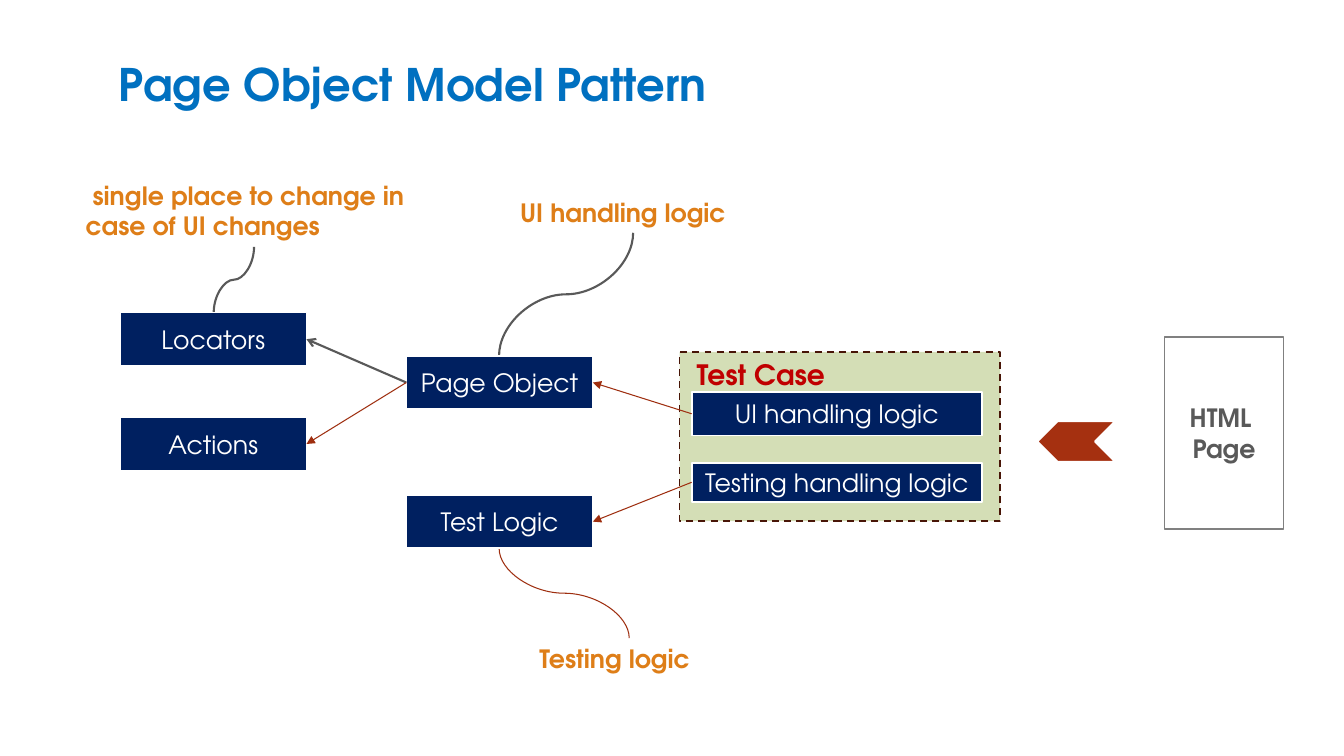
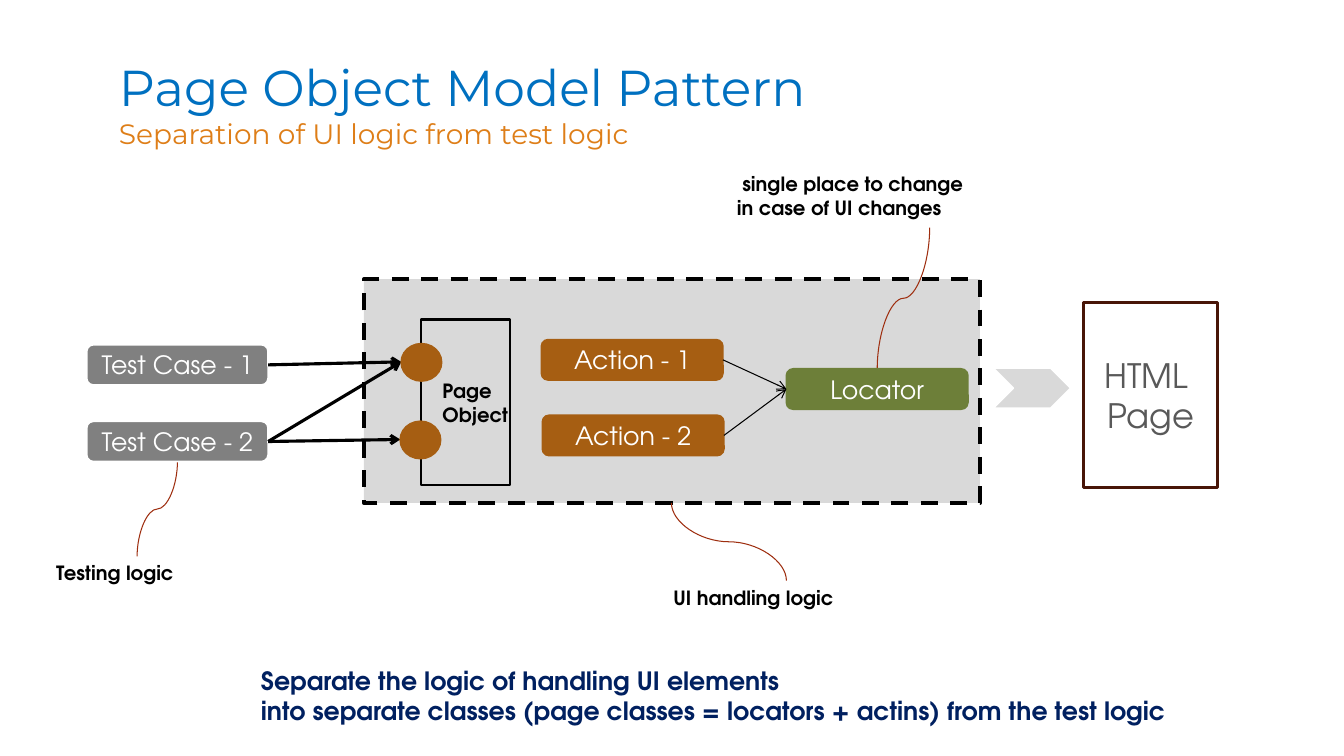
"""Build two slides that explain the Page Object Model pattern."""
from dataclasses import dataclass

from lxml import etree
from pptx import Presentation
from pptx.dml.color import RGBColor
from pptx.enum import dml, shapes, text
from pptx.oxml.ns import qn
from pptx.util import Inches, Pt


@dataclass(frozen=True)
class Theme:
    font: str = "TeX Gyre Adventor"
    title_font: str = "Montserrat"
    blue: str = "0070C0"
    navy: str = "002060"
    orange: str = "DE7E18"
    red: str = "C00000"
    rust: str = "A53010"
    wire: str = "9E2E0F"
    maroon: str = "481507"
    brown: str = "A65E12"
    green: str = "6D7F39"
    pale_green: str = "D4DEB6"
    ink: str = "595959"
    grey: str = "808080"
    silver: str = "D9D9D9"
    black: str = "000000"
    white: str = "FFFFFF"
    title: int = 32
    big_title: int = 36
    large: int = 24
    heading: int = 20
    body: int = 18
    small: int = 14


T = Theme()
KIND = shapes.MSO_SHAPE
LINK = shapes.MSO_CONNECTOR
TOP, LEFT, BOTTOM, RIGHT = range(4)


def add_box(s, kind, at, words="", fill=None, line=None, width=1.25,
            size=T.body, color=T.white, bold=False):
    at = [Inches(v) for v in at]
    if kind is None:
        sp = s.shapes.add_textbox(*at)
    else:
        sp = s.shapes.add_shape(kind, *at)
        sp.shadow.inherit = False
        sp.fill.solid()
        sp.fill.fore_color.rgb = RGBColor.from_string(fill)
        sp.line.color.rgb = RGBColor.from_string(line)
        sp.line.width = Pt(width)
    if words:
        tf = sp.text_frame
        tf.word_wrap = True
        tf.text = words
        if kind is None:
            tf.auto_size = text.MSO_AUTO_SIZE.SHAPE_TO_FIT_TEXT
        else:
            tf.vertical_anchor = text.MSO_ANCHOR.MIDDLE
        for p in tf.paragraphs:
            p.alignment = text.PP_ALIGN.LEFT if kind is None else text.PP_ALIGN.CENTER
            for r in p.runs:
                r.font.name, r.font.size, r.font.bold = T.font, Pt(size), bold
                r.font.color.rgb = RGBColor.from_string(color)
    return sp


def add_line(s, start, end, color, width=0.75, head=None, curved=False):
    (x1, y1), (x2, y2) = start, end
    if curved:
        dx, dy = x2 - x1, y2 - y1
        cx, cy = (x1 + x2) / 2, (y1 + y2) / 2
        turn = -1 if dx > 0 and dy > 0 else 1
        x1, x2 = cx - turn * dy / 2, cx + turn * dy / 2
        y1, y2 = cy + turn * dx / 2, cy - turn * dx / 2
    c = s.shapes.add_connector(LINK.CURVE if curved else LINK.STRAIGHT,
                               *[Inches(v) for v in (x1, y1, x2, y2)])
    c.line.color.rgb = RGBColor.from_string(color)
    c.line.width = Pt(width)
    props = c.element.spPr
    if curved:
        props.find(qn("a:xfrm")).set("rot", "5400000" if turn == 1 else "16200000")
    if head:
        etree.SubElement(props.find(qn("a:ln")), qn("a:tailEnd"), type=head)
    etree.SubElement(props, qn("a:effectLst"))
    return c


prs = Presentation()
prs.slide_width, prs.slide_height = Inches(13.33), Inches(7.5)

titles = [
    ((1.08, 0.51, 6.31, 0.76),
     [("Page Object Model Pattern", T.font, T.title, T.blue, True)]),
    ((1.08, 0.51, 8.35, 1.32),
     [("Page Object Model Pattern", T.title_font, T.big_title, T.blue, False),
      ("Separation of UI logic from test logic", T.title_font, T.heading, T.orange, False)]),
]
slides = []
for at, lines in titles:
    s = prs.slides.add_slide(prs.slide_layouts[5])
    slides.append(s)
    sp = s.shapes.title
    sp.left, sp.top, sp.width, sp.height = [Inches(v) for v in at]
    tf = sp.text_frame
    tf.text = "\n".join(words for words, *_ in lines)
    tf.word_wrap = True
    tf.auto_size = text.MSO_AUTO_SIZE.NONE
    tf.vertical_anchor = text.MSO_ANCHOR.TOP
    for p, (_, font, size, color, bold) in zip(tf.paragraphs, lines):
        p.alignment = text.PP_ALIGN.LEFT
        r = p.runs[0]
        r.font.name, r.font.size, r.font.bold = font, Pt(size), bold
        r.font.color.rgb = RGBColor.from_string(color)

pattern, separation = slides

s = pattern
chevron = add_box(s, KIND.CHEVRON, (10.29, 4.18, 0.77, 0.4), fill=T.rust, line=T.white)
chevron.rotation = 180
case = add_box(s, KIND.RECTANGLE, (6.74, 3.49, 3.18, 1.68), fill=T.pale_green, line=T.maroon)
case.line.dash_style = dml.MSO_LINE.DASH

for words, at in [
    (" single place to change in case of UI changes", (0.75, 1.74, 3.55, 0.71)),
    ("UI handling logic", (5.06, 1.91, 2.44, 0.4)),
    ("Testing logic", (5.25, 6.33, 1.99, 0.4)),
]:
    add_box(s, None, at, words, color=T.orange, bold=True)

for start, end, color, width in [
    ((2.12, 3.1), (2.52, 2.45), T.ink, 1.5),
    ((4.95, 3.53), (6.28, 2.31), T.ink, 1.5),
    ((4.95, 5.44), (6.24, 6.33), T.wire, 0.75),
]:
    add_line(s, start, end, color, width, curved=True)

parts = {}
for words, at in [
    ("Locators", (1.19, 3.1, 1.85, 0.53)),
    ("Actions", (1.19, 4.14, 1.85, 0.53)),
    ("Page Object", (4.03, 3.53, 1.85, 0.53)),
    ("Test Logic", (4.03, 4.91, 1.85, 0.53)),
    ("UI handling logic", (6.86, 3.89, 2.88, 0.43)),
    ("Testing handling logic", (6.86, 4.59, 2.88, 0.39)),
]:
    parts[words] = add_box(s, KIND.RECTANGLE, at, words, T.navy, T.white)

for source, target, color, width, head in [
    ("UI handling logic", "Page Object", T.wire, 0.75, "triangle"),
    ("Testing handling logic", "Test Logic", T.wire, 0.75, "triangle"),
    ("Page Object", "Locators", T.ink, 1.5, "arrow"),
    ("Page Object", "Actions", T.wire, 0.75, "triangle"),
]:
    c = add_line(s, (0, 0), (0, 0), color, width, head)
    c.begin_connect(parts[source], LEFT)
    c.end_connect(parts[target], RIGHT)

add_box(s, None, (6.81, 3.5, 1.91, 0.44), "Test Case", size=T.heading, color=T.red, bold=True)
add_box(s, KIND.RECTANGLE, (11.55, 3.34, 1.18, 1.91), "HTML \nPage", T.white, T.grey,
        color=T.ink, bold=True)

s = separation
frame = add_box(s, KIND.RECTANGLE, (3.61, 2.77, 6.11, 2.22), fill=T.silver, line=T.black, width=3)
frame.line.dash_style = dml.MSO_LINE.DASH
add_box(s, KIND.RECTANGLE, (4.18, 3.17, 0.88, 1.64), fill=T.silver, line=T.black, width=1.5)
add_box(s, KIND.RECTANGLE, (10.75, 3, 1.33, 1.84), "HTML \nPage", T.white, T.maroon, 2.25,
        T.large, T.ink)
add_box(s, KIND.CHEVRON, (9.85, 3.65, 0.77, 0.4), fill=T.silver, line=T.white)

for words, at, size, color in [
    ("Separate the logic of handling UI elements\ninto separate classes "
     "(page classes = locators + actins) from the test logic",
     (2.49, 6.55, 9.83, 0.71), T.body, T.navy),
    (" single place to change\nin case of UI changes", (7.21, 1.66, 2.84, 0.57), T.small, T.black),
    ("UI handling logic", (6.58, 5.76, 2.44, 0.34), T.small, T.black),
    ("Testing logic", (0.46, 5.52, 1.8, 0.34), T.small, T.black),
    ("Page\nObject", (4.29, 3.71, 0.95, 0.57), T.small, T.black),
]:
    add_box(s, None, at, words, size=size, color=color, bold=True)

for start, end in [
    ((8.7, 3.66), (9.22, 2.26)),
    ((6.66, 4.99), (7.8, 5.76)),
    ((1.76, 4.58), (1.36, 5.52)),
]:
    add_line(s, start, end, T.wire, curved=True)

nodes = {}
for words, left, top, fill, line in [
    ("Action - 1", 5.37, 3.37, T.brown, T.brown),
    ("Action - 2", 5.38, 4.12, T.brown, T.brown),
    ("Locator", 7.8, 3.66, T.green, T.green),
    ("Test Case - 1", 0.86, 3.42, T.grey, T.white),
    ("Test Case - 2", 0.86, 4.18, T.grey, T.white),
]:
    nodes[words] = add_box(s, KIND.ROUNDED_RECTANGLE, (left, top, 1.8, 0.4), words, fill, line)

for action in ("Action - 1", "Action - 2"):
    c = add_line(s, (0, 0), (0, 0), T.black, head="arrow")
    c.begin_connect(nodes[action], RIGHT)
    c.end_connect(nodes["Locator"], LEFT)

upper_port, lower_port = (3.98, 3.59), (3.97, 4.36)
for test, port in [
    ("Test Case - 1", upper_port),
    ("Test Case - 2", upper_port),
    ("Test Case - 2", lower_port),
]:
    c = add_line(s, (2.66, port[1]), port, T.black, 2.25, "arrow")
    c.begin_connect(nodes[test], RIGHT)

for left, middle in (upper_port, lower_port):
    add_box(s, KIND.OVAL, (left, middle - 0.18, 0.4, 0.37), fill=T.brown, line=T.brown)

prs.save("out.pptx")
